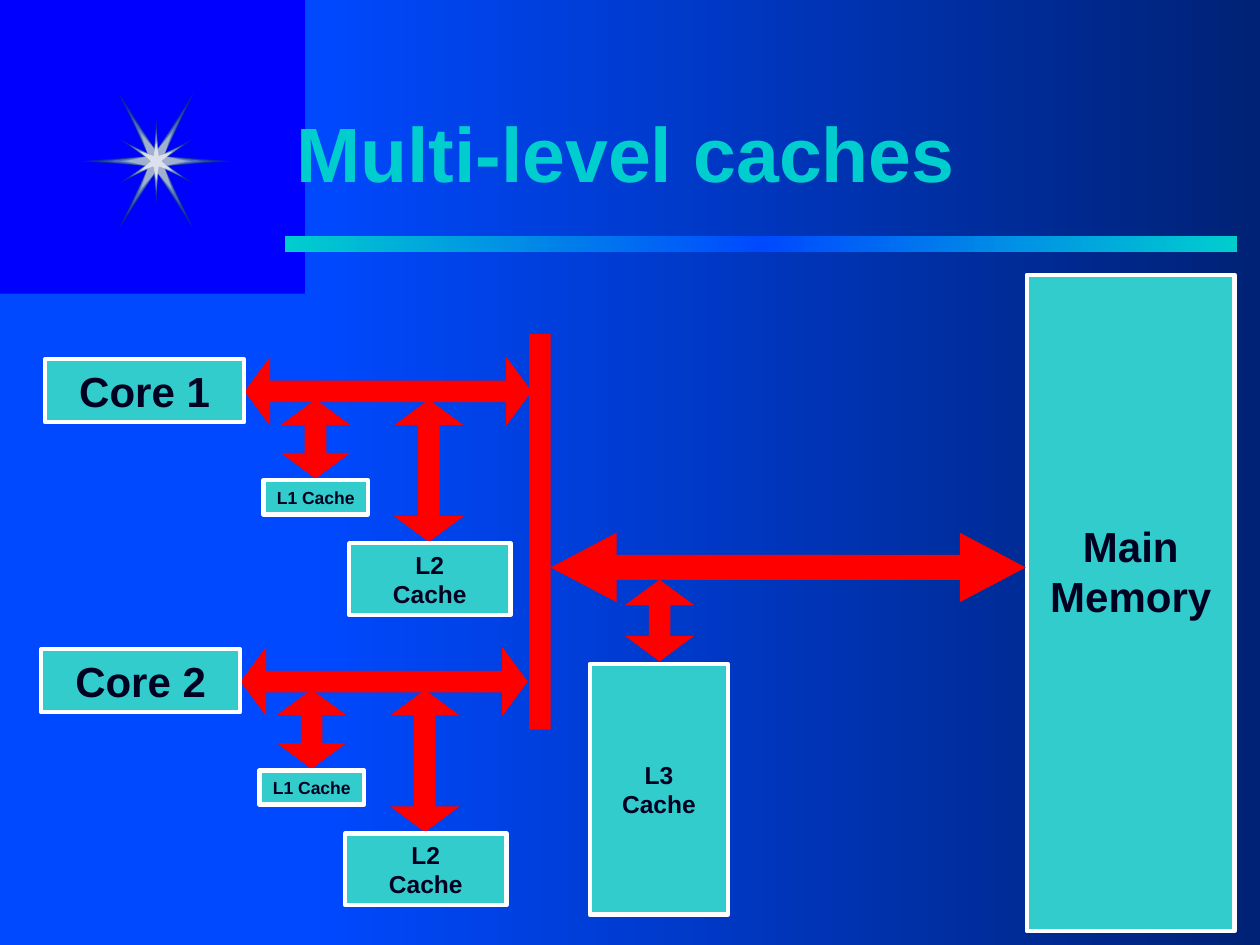
import copy
import pptx
import pptx.util
import pptx.dml.color
import pptx.enum.shapes
import pptx.enum.text
import pptx.oxml
import pptx.oxml.ns

Cm = pptx.util.Cm
Pt = pptx.util.Pt
RGBColor = pptx.dml.color.RGBColor
MSO_SHAPE = pptx.enum.shapes.MSO_SHAPE

BACKGROUND = RGBColor(0x00, 0x00, 0xFF)
BLUE = RGBColor(0x00, 0x49, 0xFF)
NAVY = RGBColor(0x00, 0x22, 0x76)
TURQUOISE = RGBColor(0x00, 0xCE, 0xCE)
BOX_FILL = RGBColor(0x33, 0xCC, 0xCC)
WHITE = RGBColor(0xFF, 0xFF, 0xFF)
RED = RGBColor(0xFF, 0x00, 0x00)
INK = RGBColor(0x00, 0x00, 0x20)

FONT = "Arial"
TITLE = "Multi-level caches"
TITLE_AREA = (5.72, 1.47, 19.25, 3.18)

LEFT_PANEL = (0, 5.92, 6.15, 13.13)
RIGHT_PANEL = (6.15, 0, 19.25, 19.05)
TITLE_RULE = (5.74, 4.76, 19.2, 0.32)

STAR_CENTER = (3.15, 3.25)
STAR_LAYERS = [
    ("long", 1.49, RGBColor(0x0B, 0x2B, 0x9E)),
    ("short", 0.86, RGBColor(0x10, 0x2F, 0xA1)),
    ("long", 1.19, RGBColor(0x26, 0x45, 0xAC)),
    ("short", 0.65, RGBColor(0x44, 0x64, 0xB9)),
    ("long", 0.97, RGBColor(0x44, 0x64, 0xB9)),
    ("short", 0.6, RGBColor(0x4E, 0x6E, 0xBC)),
    ("long", 0.9, RGBColor(0x4E, 0x6E, 0xBC)),
    ("short", 0.56, RGBColor(0x5A, 0x79, 0xC0)),
    ("short", 0.51, RGBColor(0x79, 0x92, 0xC6)),
    ("long", 0.72, RGBColor(0x79, 0x92, 0xC6)),
    ("long", 0.61, RGBColor(0xA0, 0xB0, 0xCE)),
    ("short", 0.4, RGBColor(0xD9, 0xD9, 0xD9)),
    ("short", 0.36, RGBColor(0xDC, 0xE0, 0xED)),
]

CORES = [("Core 1", 0, 0), ("Core 2", -0.08, 5.85)]
CORE_BOX = (0.91, 7.24, 4.01, 1.27)
CORE_ARROW = (4.93, 7.19, 5.79)
CORE_CACHES = [
    ("L1 Cache", 10, (5.31, 9.68, 2.11, 0.69), (5.56, 8.15, 1.6)),
    ("L2\vCache", 14, (7.04, 10.95, 3.25, 1.45), (7.21, 8.79, 2.87)),
]

BUS = (10.67, 6.73, 0.43, 7.98)
MEMORY_BOX = (20.7, 5.54, 4.19, 13.23)
MEMORY_TEXT_TOP = 4.95
MEMORY_ARROW = (11.1, 10.74, 9.58)
L3_BOX = (11.89, 13.39, 2.79, 5.05)
L3_ARROW = (12.47, 11.81, 1.65)

ARROW_HEIGHT = 1.4
ARROW_SHAPE = (0.31, 0.37)
MEMORY_ARROW_SHAPE = (0.36, 0.95)


def add_shape(slide, kind, area, color=None):
    shape = slide.shapes.add_shape(kind, *[Cm(length) for length in area])
    shape.shadow.inherit = False
    shape.line.fill.background()
    if color is not None:
        shape.fill.solid()
        shape.fill.fore_color.rgb = color
    return shape


def add_gradient(slide, area, colors):
    shape = add_shape(slide, MSO_SHAPE.RECTANGLE, area)
    shape.fill.gradient()
    shape.fill.gradient_angle = 0
    first_stop = shape.fill._fill._gradFill.gsLst[0]
    for _ in colors[2:]:
        first_stop.addnext(copy.deepcopy(first_stop))
    for index, (stop, color) in enumerate(zip(shape.fill.gradient_stops, colors)):
        stop.position = index / (len(colors) - 1)
        stop.color.rgb = color


def star_outline(kind, reach):
    if kind == "long":
        quarter = [(reach, 0), (0.15, 0.1), (0.5 * reach, 0.91 * reach), (0, 0.2)]
    else:
        quarter = [(0.1, 0), (0.83 * reach, 0.5 * reach), (0.05, 0.1), (0, reach)]
    half = quarter + [(-x, y) for x, y in reversed(quarter[:-1])]
    outline = half + [(-x, -y) for x, y in half[1:-1]]
    center_x, center_y = STAR_CENTER
    return [(Cm(center_x + x), Cm(center_y + y)) for x, y in outline]


def add_star(slide):
    for kind, reach, color in STAR_LAYERS:
        start, *points = star_outline(kind, reach)
        builder = slide.shapes.build_freeform(*start)
        builder.add_line_segments(points, close=True)
        shape = builder.convert_to_shape()
        shape.shadow.inherit = False
        shape.fill.solid()
        shape.fill.fore_color.rgb = color
        shape.line.fill.background()


def format_text(paragraph, size, color):
    for run in paragraph.runs:
        run.font.name = FONT
        run.font.size = Pt(size)
        run.font.bold = True
        run.font.color.rgb = color


def add_title(slide):
    box = slide.shapes.add_textbox(*[Cm(length) for length in TITLE_AREA])
    frame = box.text_frame
    frame.word_wrap = True
    frame.vertical_anchor = pptx.enum.text.MSO_ANCHOR.MIDDLE
    frame.text = TITLE
    format_text(frame.paragraphs[0], 44, TURQUOISE)
    properties = frame.paragraphs[0].runs[0].font._element
    shadow = pptx.oxml.parse_xml(
        f'<a:effectLst {pptx.oxml.ns.nsdecls("a")}>'
        '<a:outerShdw dist="35921" dir="2700000"><a:srgbClr val="000000"/></a:outerShdw>'
        '</a:effectLst>'
    )
    properties.find(pptx.oxml.ns.qn("a:solidFill")).addnext(shadow)


def add_box(slide, text, size, area, text_top=None):
    shape = add_shape(slide, MSO_SHAPE.RECTANGLE, area, BOX_FILL)
    shape.line.color.rgb = WHITE
    shape.line.width = Pt(2.5)
    frame = shape.text_frame
    frame.word_wrap = True
    frame.margin_left = frame.margin_right = Cm(0.1)
    frame.margin_top = frame.margin_bottom = Cm(0)
    frame.vertical_anchor = pptx.enum.text.MSO_ANCHOR.MIDDLE
    if text_top is not None:
        frame.vertical_anchor = pptx.enum.text.MSO_ANCHOR.TOP
        frame.margin_top = Cm(text_top)
    frame.text = text
    paragraph = frame.paragraphs[0]
    paragraph.alignment = pptx.enum.text.PP_ALIGN.CENTER
    format_text(paragraph, size, INK)


def add_arrow(slide, place, rotation=0, proportions=ARROW_SHAPE):
    arrow = add_shape(slide, MSO_SHAPE.LEFT_RIGHT_ARROW, (*place, ARROW_HEIGHT), RED)
    arrow.adjustments[0], arrow.adjustments[1] = proportions
    arrow.rotation = rotation


def shifted(area, right, down):
    left, top, *size = area
    return (left + right, top + down, *size)


def add_core(slide, name, right, down):
    for text, size, box, arrow in CORE_CACHES:
        add_arrow(slide, shifted(arrow, right, down), 90)
        add_box(slide, text, size, shifted(box, right, down))
    add_arrow(slide, shifted(CORE_ARROW, right, down))
    add_box(slide, name, 24, shifted(CORE_BOX, right, down))


def main():
    presentation = pptx.Presentation()
    presentation.slide_width = Cm(25.4)
    presentation.slide_height = Cm(19.05)
    slide = presentation.slides.add_slide(presentation.slide_layouts[6])
    slide.background.fill.solid()
    slide.background.fill.fore_color.rgb = BACKGROUND

    add_shape(slide, MSO_SHAPE.RECTANGLE, LEFT_PANEL, BLUE)
    add_gradient(slide, RIGHT_PANEL, [BLUE, NAVY])
    add_gradient(slide, TITLE_RULE, [TURQUOISE, BLUE, TURQUOISE])
    add_star(slide)
    add_title(slide)

    add_box(slide, "Main Memory", 24, MEMORY_BOX, MEMORY_TEXT_TOP)
    for core in CORES:
        add_core(slide, *core)
    add_arrow(slide, MEMORY_ARROW, proportions=MEMORY_ARROW_SHAPE)
    add_shape(slide, MSO_SHAPE.RECTANGLE, BUS, RED)
    add_arrow(slide, L3_ARROW, 90)
    add_box(slide, "L3\vCache", 14, L3_BOX)
    presentation.save("out.pptx")


if __name__ == "__main__":
    main()
